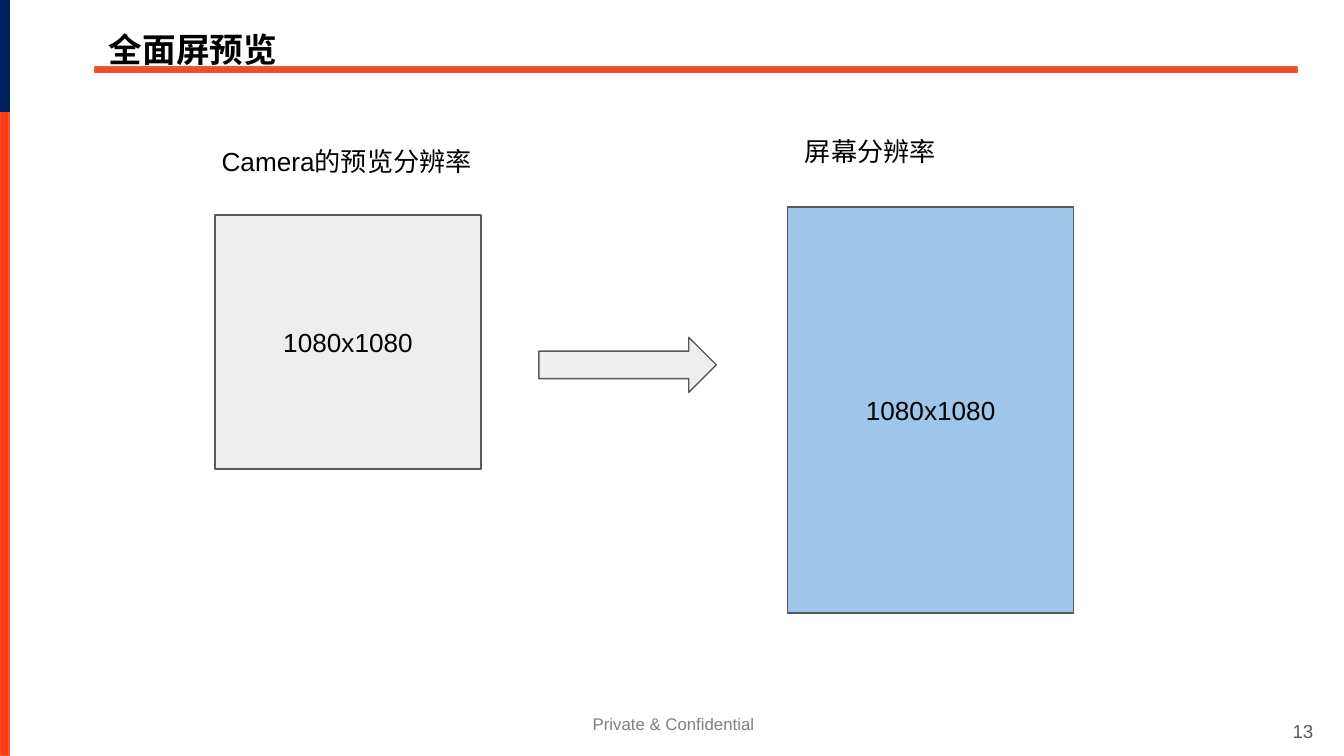
from pptx import Presentation
from pptx.dml.color import RGBColor
from pptx.enum.shapes import MSO_SHAPE
from pptx.enum.text import MSO_ANCHOR, MSO_AUTO_SIZE, PP_ALIGN
from pptx.util import Inches, Pt

RECT, ARROW = MSO_SHAPE.RECTANGLE, MSO_SHAPE.RIGHT_ARROW
TOP, MIDDLE = MSO_ANCHOR.TOP, MSO_ANCHOR.MIDDLE
LEFT, CENTER, RIGHT = PP_ALIGN.LEFT, PP_ALIGN.CENTER, PP_ALIGN.RIGHT
FIXED = MSO_AUTO_SIZE.NONE

BLACK = RGBColor(0x00, 0x00, 0x00)
DARK = RGBColor(0x59, 0x59, 0x59)
GRAY = RGBColor(0x80, 0x80, 0x80)
PALE = RGBColor(0xEE, 0xEE, 0xEE)
BLUE = RGBColor(0x9F, 0xC5, 0xE8)
NAVY = RGBColor(0x00, 0x20, 0x60)
RED = RGBColor(0xFF, 0x3A, 0x12)
CORAL = RGBColor(0xEE, 0x4D, 0x2D)
EDGE = RGBColor(0xF1, 0x59, 0x2B)


def write(shape, text, size=14, color=BLACK, bold=False, align=LEFT,
          anchor=TOP, space=1.0, pad=0.1):
    frame = shape.text_frame
    frame.word_wrap = True
    frame.auto_size = FIXED
    frame.vertical_anchor = anchor
    frame.margin_left = frame.margin_right = Inches(0.1)
    frame.margin_top = frame.margin_bottom = Inches(pad)
    para = frame.paragraphs[0]
    para.alignment = align
    para.line_spacing = space
    run = para.add_run()
    run.text = text
    font = run.font
    font.name, font.size, font.bold = "Arial", Pt(size), bold
    font.color.rgb = color


def label(slide, box, text, **style):
    write(slide.shapes.add_textbox(*map(Inches, box)), text, **style)


def draw(slide, kind, box, fill, line=DARK, width=0.75):
    shape = slide.shapes.add_shape(kind, *map(Inches, box))
    shape.shadow.inherit = False
    shape.fill.solid()
    shape.fill.fore_color.rgb = fill
    shape.line.color.rgb = line
    shape.line.width = Pt(width)
    return shape


def stripe(slide, box, fill, line):
    left, top, wide, high = box
    turned = (left + (wide - high) / 2, top + (high - wide) / 2, high, wide)
    draw(slide, RECT, turned, fill, line, 1).rotation = 90


def frame(slide, wide, high):
    label(slide, (0.15, high - 0.36, wide - 0.28, 0.27),
          "Private & Confidential", size=9, color=GRAY, align=CENTER,
          space=0.93, pad=0.06)
    stripe(slide, (0, 0.71, 0.07, high - 0.71), RED, EDGE)
    stripe(slide, (0, 0, 0.07, 0.83), NAVY, NAVY)
    label(slide, (wide - 0.73, high - 0.4, 0.6, 0.43), "13",
          size=10, color=DARK, align=RIGHT, anchor=MIDDLE)


def header(slide, box, text):
    left, top, wide, high = box
    draw(slide, RECT, (left, top + 0.29, wide, 0.04), CORAL, EDGE, 1)
    title = slide.shapes.title
    title.left, title.top, title.width, title.height = map(Inches, box)
    write(title, text, size=18, bold=True, anchor=MIDDLE, space=1.15)


def panel(slide, box, fill, name, shift, rise):
    left, top = box[:2]
    write(draw(slide, RECT, box, fill), "1080x1080",
          align=CENTER, anchor=MIDDLE)
    label(slide, (left + shift, top - rise, 2.08, 0.52), name)


def main():
    wide = 10
    high = wide * 9 / 16
    deck = Presentation()
    deck.slide_width, deck.slide_height = Inches(wide), Inches(high)
    slide = deck.slides.add_slide(deck.slide_layouts[5])
    frame(slide, wide, high)
    header(slide, (0.71, 0.21, 8.94, 0.26), "全面屏预览")
    panel(slide, (1.6, 1.6, 1.98, 1.89), PALE,
          "Camera的预览分辨率", -0.05, 0.62)
    draw(slide, ARROW, (4.01, 2.51, 1.32, 0.41), PALE)
    panel(slide, (5.86, 1.54, 2.13, 3.02), BLUE, "屏幕分辨率", 0.03, 0.63)
    deck.save("out.pptx")


if __name__ == "__main__":
    main()
